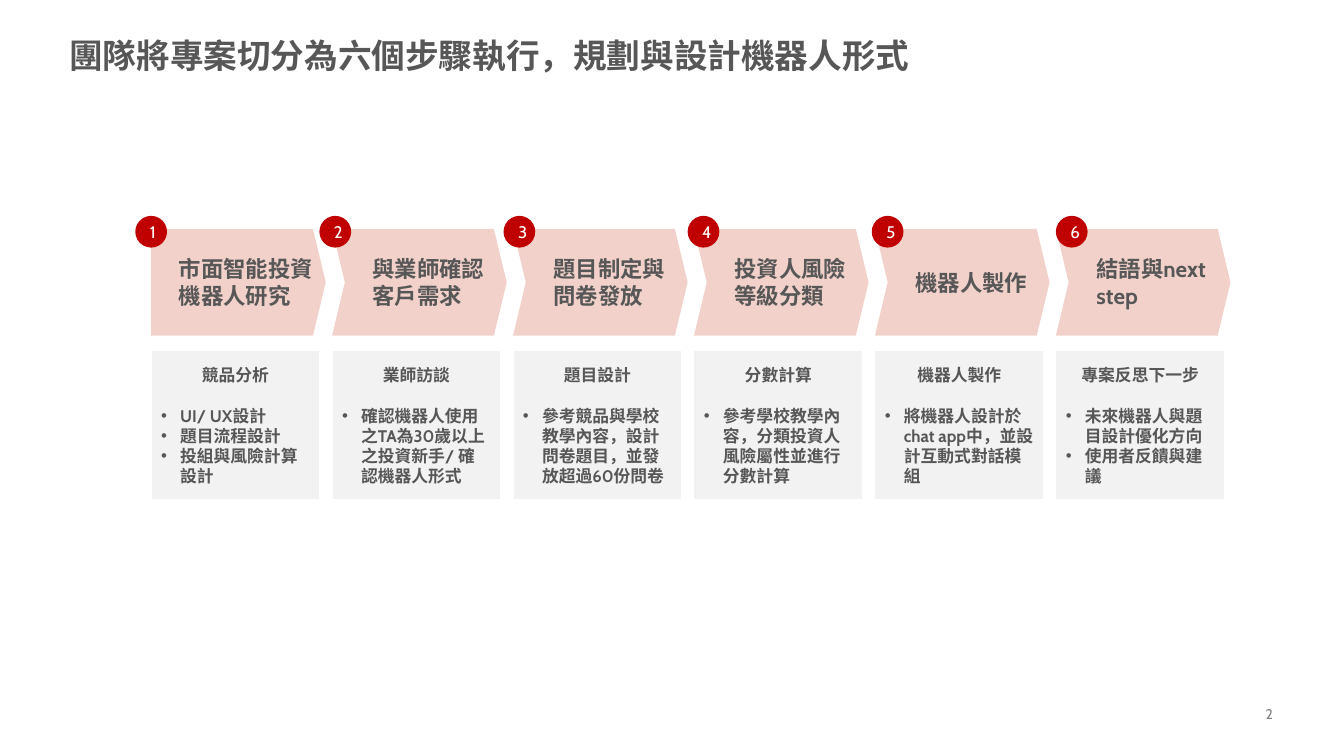
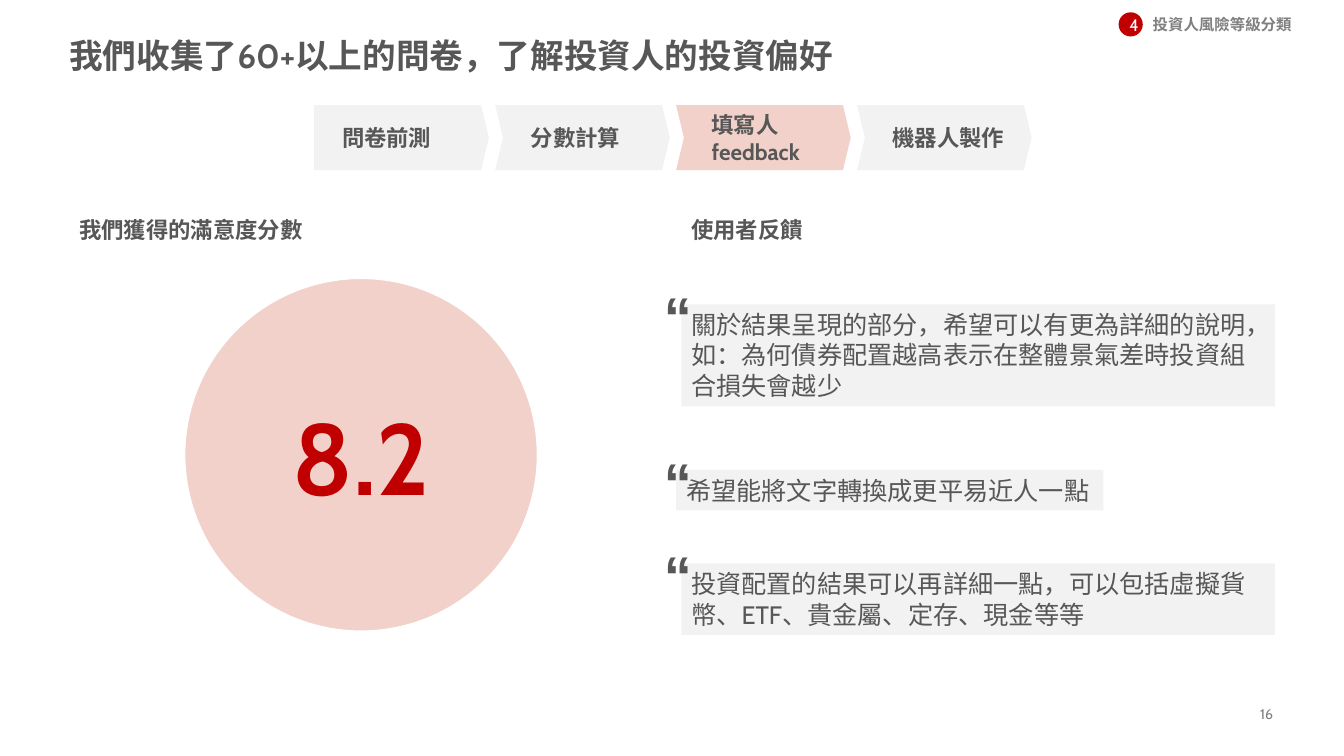
from lxml import etree
from pptx import Presentation
from pptx.dml.color import RGBColor
from pptx.enum.shapes import MSO_SHAPE
from pptx.enum.text import MSO_ANCHOR, PP_ALIGN
from pptx.oxml.ns import qn
from pptx.util import Cm, Pt

RECTANGLE, OVAL = MSO_SHAPE.RECTANGLE, MSO_SHAPE.OVAL
CHEVRON, PENTAGON = MSO_SHAPE.CHEVRON, MSO_SHAPE.PENTAGON
TOP, MIDDLE, BOTTOM = MSO_ANCHOR.TOP, MSO_ANCHOR.MIDDLE, MSO_ANCHOR.BOTTOM
LEFT, CENTER, RIGHT = PP_ALIGN.LEFT, PP_ALIGN.CENTER, PP_ALIGN.RIGHT

COLORS = {
    "text": "575757",
    "muted": "808080",
    "accent": "C00000",
    "blush": "F1D1C9",
    "panel": "F2F2F2",
    "white": "FFFFFF",
}
FONT, HEADING_FONT = "Cabin", "Arial"
INSETS, NO_INSETS, STEP_INSETS = (0.25, 0.13, 0.25, 0.13), (0, 0, 0, 0), (0.7, 0, 0, 0)
STEP_PITCH, STEP_WIDTH = 4.56, 4.4

STEPS = [
    ("市面智能投資機器人研究", "競品分析", ["UI/ UX設計", "題目流程設計", "投組與風險計算設計"]),
    ("與業師確認客戶需求", "業師訪談", ["確認機器人使用之TA為30歲以上之投資新手/ 確認機器人形式"]),
    ("題目制定與問卷發放", "題目設計", ["參考競品與學校教學內容，設計問卷題目，並發放超過60份問卷"]),
    ("投資人風險等級分類", "分數計算", ["參考學校教學內容，分類投資人風險屬性並進行分數計算"]),
    ("機器人製作", "機器人製作", ["將機器人設計於chat app中，並設計互動式對話模組"]),
    ("結語與next step", "專案反思下一步", ["未來機器人與題目設計優化方向", "使用者反饋與建議"]),
]
STAGES = ["問卷前測", "分數計算", "填寫人feedback", "機器人製作"]
QUOTES = [
    ("關於結果呈現的部分，希望可以有更為詳細的說明，如：為何債券配置越高表示在整體景氣差時投資組合損失會越少",
     (17.17, 7.67, 14.96, 2.57), True),
    ("希望能將文字轉換成更平易近人一點", (17.04, 11.84, 10.77, 1.02), False),
    ("投資配置的結果可以再詳細一點，可以包括虛擬貨幣、ETF、貴金屬、定存、現金等等",
     (17.17, 14.2, 14.96, 1.8), True),
]


def color(name):
    """Return the palette colour with this name."""
    return RGBColor.from_string(COLORS[name])


def style(paragraph, size, ink="text", bold=False, align=LEFT, font=FONT):
    """Set the alignment and font of a paragraph."""
    paragraph.alignment = align
    paragraph.font.name = font
    paragraph.font.size = Pt(size)
    paragraph.font.bold = bold
    paragraph.font.color.rgb = color(ink)


def set_frame(shape, anchor, insets, wrap=True):
    """Set up the text frame of a shape and return it."""
    frame = shape.text_frame
    frame.word_wrap = wrap
    frame.vertical_anchor = anchor
    frame.margin_left, frame.margin_top, frame.margin_right, frame.margin_bottom = map(Cm, insets)
    return frame


def add_label(slide, box, text, size, anchor=TOP, insets=INSETS, wrap=True, **look):
    """Add a one-paragraph text box and return its paragraph."""
    shape = slide.shapes.add_textbox(*map(Cm, box))
    paragraph = set_frame(shape, anchor, insets, wrap).paragraphs[0]
    paragraph.text = text
    style(paragraph, size, **look)
    return paragraph


def add_block(slide, kind, box, fill, outlined=False):
    """Add a filled shape, with a thin white outline if asked."""
    shape = slide.shapes.add_shape(kind, *map(Cm, box))
    shape.shadow.inherit = False
    shape.fill.solid()
    shape.fill.fore_color.rgb = color(fill)
    if outlined:
        shape.line.color.rgb = color("white")
        shape.line.width = Pt(0.75)
    else:
        shape.line.fill.background()
    return shape


def add_text_block(slide, kind, box, fill, text, size, outlined=False,
                   anchor=MIDDLE, insets=INSETS, wrap=True, **look):
    """Add a filled shape holding one paragraph and return the shape."""
    shape = add_block(slide, kind, box, fill, outlined)
    paragraph = set_frame(shape, anchor, insets, wrap).paragraphs[0]
    paragraph.text = text
    style(paragraph, size, **look)
    return shape


def add_badge(slide, left, top, diameter, number):
    """Add a numbered red disc."""
    add_text_block(slide, OVAL, (left, top, diameter, diameter), "accent", str(number), 12,
                   ink="white", align=CENTER)


def add_step_arrows(slide, left, top, height, names, fills):
    """Add a row of process arrows, the first with a flat back."""
    for index, (name, fill) in enumerate(zip(names, fills)):
        box = (left + index * STEP_PITCH, top, STEP_WIDTH, height)
        arrow = add_text_block(slide, CHEVRON if index else PENTAGON, box, fill, name, 16,
                               insets=STEP_INSETS, bold=True)
        arrow.adjustments[0] = 0.12


def add_bullet(paragraph):
    """Give a paragraph a hanging bullet."""
    properties = paragraph._p.get_or_add_pPr()
    properties.set("marL", str(Cm(0.48)))
    properties.set("indent", str(-Cm(0.48)))
    etree.SubElement(properties, qn("a:buFont")).set("typeface", "Arial")
    etree.SubElement(properties, qn("a:buChar")).set("char", "•")


def add_detail_card(slide, box, heading, bullets):
    """Add a grey card with a centred heading over bullets."""
    frame = set_frame(add_block(slide, RECTANGLE, box, "panel", True), MIDDLE, INSETS)
    paragraph = frame.paragraphs[0]
    paragraph.text = heading
    paragraph.space_after = Pt(14.5)
    style(paragraph, 12, bold=True, align=CENTER)
    for bullet in bullets:
        paragraph = frame.add_paragraph()
        paragraph.text = bullet
        add_bullet(paragraph)
        style(paragraph, 12, bold=True)


def add_quote(slide, box, text, wrap):
    """Add a grey quotation with a quote mark at its upper left."""
    add_text_block(slide, RECTANGLE, box, "panel", text, 18, anchor=TOP, wrap=wrap)
    add_label(slide, (16.48, box[1] - 0.7, 7.65, 1.95), "“", 40, bold=True, font=HEADING_FONT)


def add_base_slide(presentation, title, number):
    """Add a blank slide with the shared title and page number."""
    slide = presentation.slides.add_slide(presentation.slide_layouts[6])
    add_label(slide, (31.01, 17.78, 1.07, 0.43), str(number), 10, anchor=BOTTOM,
              insets=NO_INSETS, ink="muted", align=RIGHT)
    heading = add_label(slide, (1.75, 0.99, 30.38, 0.91), title, 24, insets=NO_INSETS, bold=True)
    heading.line_spacing = 0.9
    return slide


def add_process_slide(presentation):
    """Add the slide with the six project steps."""
    slide = add_base_slide(presentation, "團隊將專案切分為六個步驟執行，規劃與設計機器人形式", 2)
    left, top = 3.81, 5.77
    add_step_arrows(slide, left, top, 2.69, [step[0] for step in STEPS], ["blush"] * len(STEPS))
    for index, (_, heading, bullets) in enumerate(STEPS):
        add_badge(slide, left - 0.4 + index * 4.64, top - 0.33, 0.8, index + 1)
        add_detail_card(slide, (left + index * STEP_PITCH, top + 3.07, 4.25, 3.76),
                        heading, bullets)


def add_feedback_slide(presentation):
    """Add the slide with the satisfaction score and user quotes."""
    slide = add_base_slide(presentation, "我們收集了60+以上的問卷，了解投資人的投資偏好", 16)
    fills = ["blush" if stage == STAGES[2] else "panel" for stage in STAGES]
    add_step_arrows(slide, 7.92, 2.65, 1.64, STAGES, fills)
    add_label(slide, (28.8, 0.25, 4.04, 0.73), STEPS[3][0], 11, wrap=False, ink="muted", bold=True)
    add_badge(slide, 28.19, 0.31, 0.61, 4)
    add_text_block(slide, OVAL, (4.66, 7.02, 8.88, 8.88), "blush", "8.2", 72, True,
                   ink="accent", bold=True, align=CENTER)
    for left, heading in ((1.75, "我們獲得的滿意度分數"), (17.17, "使用者反饋")):
        add_label(slide, (left, 5.31, 7.65, 0.94), heading, 16, bold=True, font=HEADING_FONT)
    for text, box, wrap in QUOTES:
        add_quote(slide, box, text, wrap)


def main():
    """Build and save the presentation."""
    presentation = Presentation()
    presentation.slide_width, presentation.slide_height = Cm(33.87), Cm(19.05)
    add_process_slide(presentation)
    add_feedback_slide(presentation)
    presentation.save("out.pptx")


if __name__ == "__main__":
    main()
